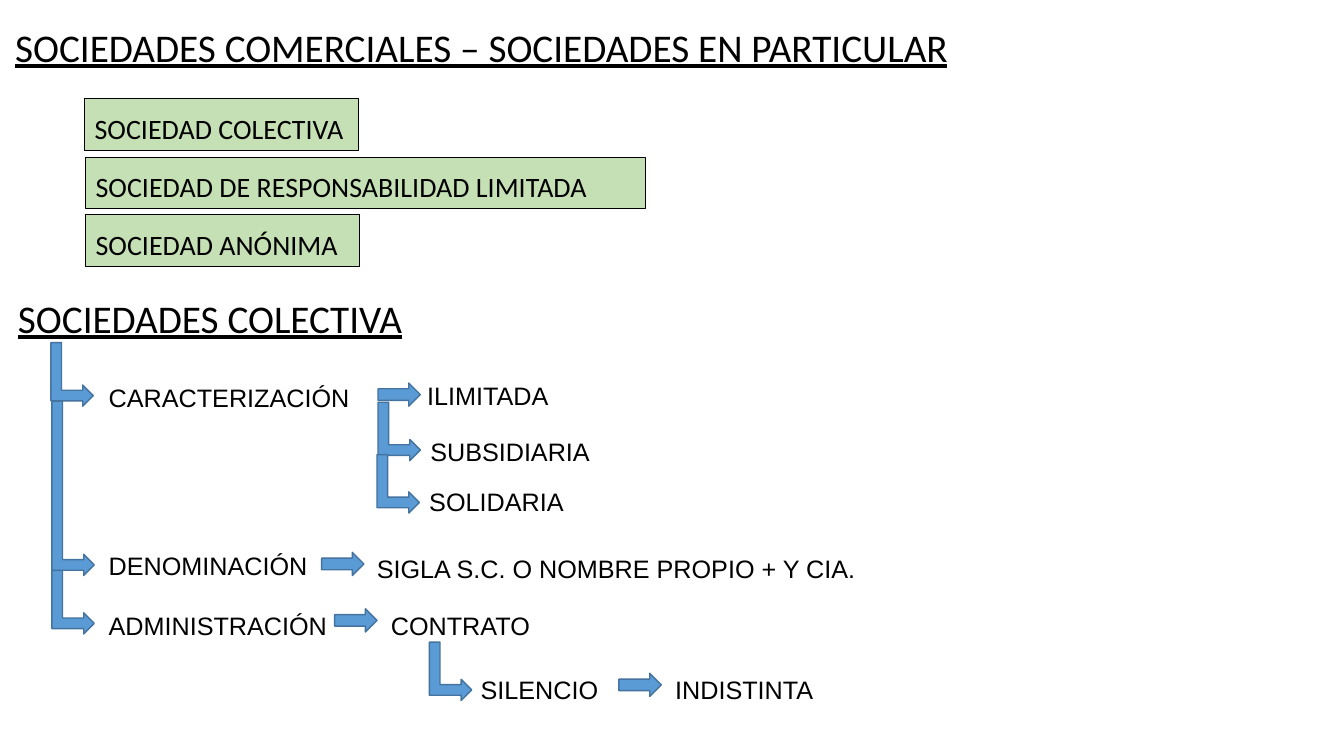
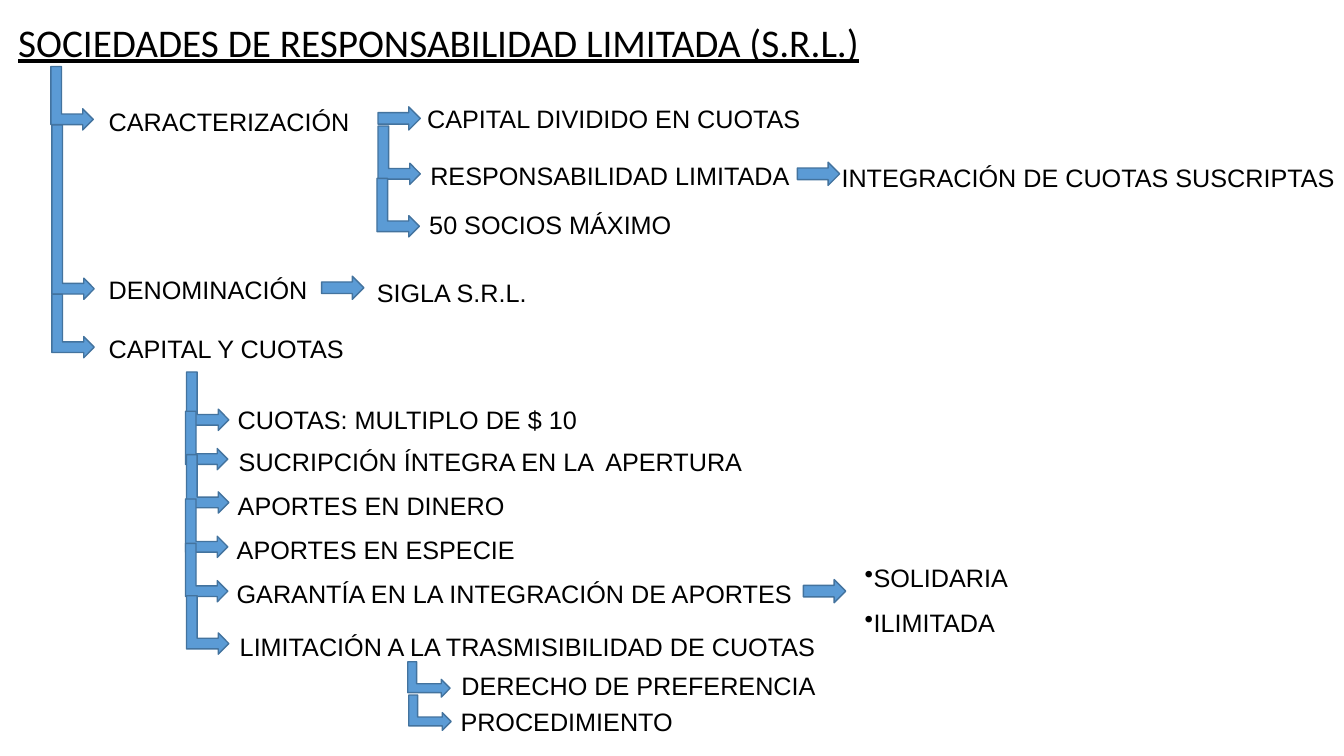
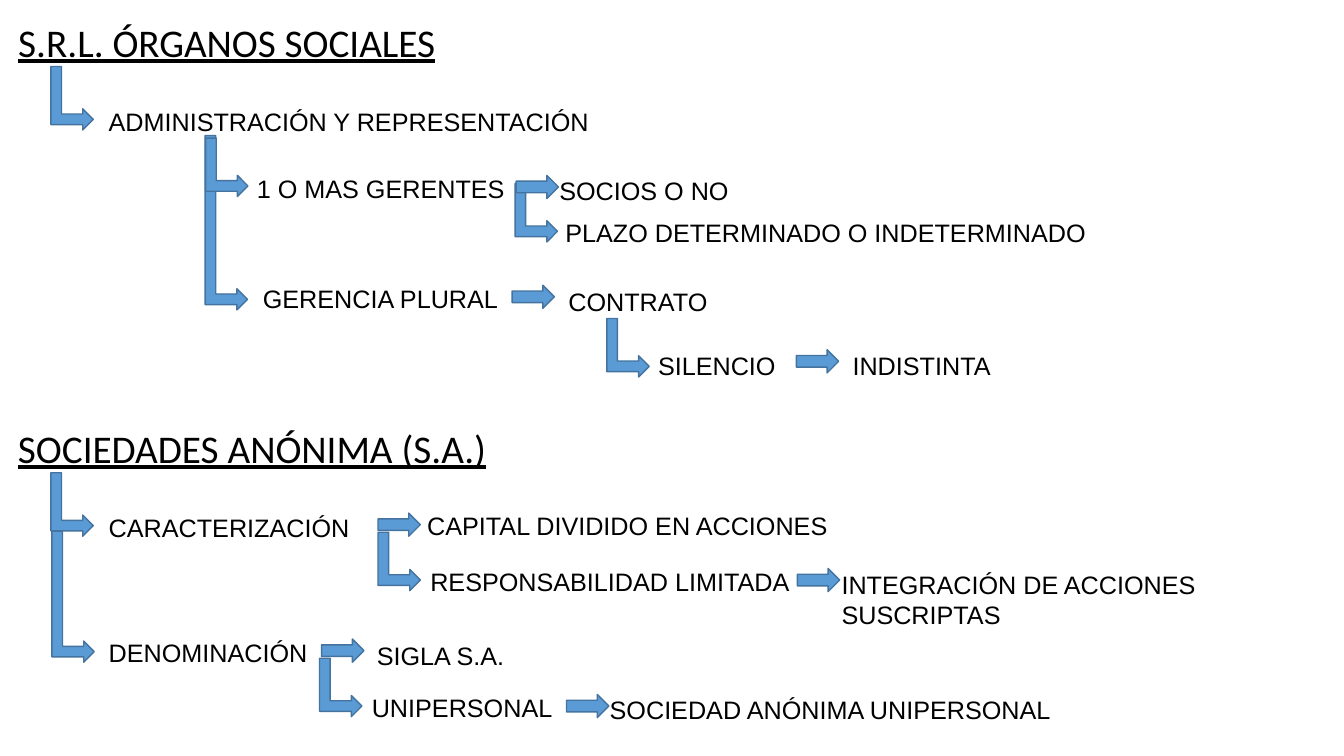
from dataclasses import dataclass
from typing import Union

import lxml.etree
import pptx
import pptx.dml.color
import pptx.enum.shapes
import pptx.enum.text
import pptx.oxml.ns
import pptx.util

# Grid: every column and row is a tenth of an inch
COLUMNS, ROWS = 133.33, 75
BLACK, GREEN, BLUE, BLUE_EDGE = "000000", "C5E0B4", "5B9BD5", "43739E"
ARROW_WIDTH, ARROW_HEIGHT = 4.2, 2.3
LINE_HEIGHT = 4

SHAPES = pptx.enum.shapes.MSO_SHAPE
ANCHORS = pptx.enum.text.MSO_ANCHOR
AUTO_SIZES = pptx.enum.text.MSO_AUTO_SIZE


@dataclass(frozen=True)
class Heading:
    column: float
    row: float
    width: float
    text: str
    height: float = 6


@dataclass(frozen=True)
class Label:
    column: float
    row: float
    width: float
    text: str
    height: float = LINE_HEIGHT
    bulleted: bool = False


@dataclass(frozen=True)
class Box:
    column: float
    row: float
    width: float
    text: str
    height: float = 5.1


@dataclass(frozen=True)
class Arrow:
    column: float
    row: float


@dataclass(frozen=True)
class Elbow:
    """Arrow that drops from its top left corner and turns right."""
    column: float
    row: float
    drop: float = 5.8


Part = Union[Heading, Label, Box, Arrow, Elbow]


def cells(count: float) -> int:
    return pptx.util.Inches(count / 10)


def color(value: str) -> pptx.dml.color.RGBColor:
    return pptx.dml.color.RGBColor.from_string(value)


def place(shape, column: float, row: float, width: float, height: float) -> None:
    shape.left, shape.top = cells(column), cells(row)
    shape.width, shape.height = cells(width), cells(height)


def write(shape, text: str, size: float, font: str, anchor, auto_size,
          spacing: float = 1.0, underline: bool = False, bulleted: bool = False) -> None:
    frame = shape.text_frame
    frame.text = text
    frame.word_wrap = True
    frame.auto_size = auto_size
    frame.vertical_anchor = anchor
    for paragraph in frame.paragraphs:
        if bulleted:
            properties = paragraph._p.get_or_add_pPr()
            bullet = lxml.etree.SubElement(properties, pptx.oxml.ns.qn("a:buChar"))
            bullet.set("char", "•")
        paragraph.alignment = pptx.enum.text.PP_ALIGN.LEFT
        paragraph.line_spacing = spacing
        paragraph.space_before = pptx.util.Pt(0)
        paragraph.font.name = font
        paragraph.font.size = pptx.util.Pt(size)
        paragraph.font.underline = underline
        paragraph.font.color.rgb = color(BLACK)


def add_preset(slide, preset, column: float, row: float, width: float, height: float,
               fill: str = BLUE, edge: str = BLUE_EDGE, weight: float = 1):
    shape = slide.shapes.add_shape(
        preset, cells(column), cells(row), cells(width), cells(height))
    shape.shadow.inherit = False
    shape.fill.solid()
    shape.fill.fore_color.rgb = color(fill)
    shape.line.color.rgb = color(edge)
    shape.line.width = pptx.util.Pt(weight)
    return shape


def write_heading(shape, heading: Heading) -> None:
    place(shape, heading.column, heading.row, heading.width, heading.height)
    write(shape, heading.text, 28, "Calibri", ANCHORS.TOP, AUTO_SIZES.NONE,
          spacing=0.9, underline=True)


def draw(slide, part: Part) -> None:
    if isinstance(part, Heading):
        write_heading(slide.shapes.add_textbox(0, 0, 0, 0), part)
    elif isinstance(part, Label):
        shape = slide.shapes.add_textbox(0, 0, 0, 0)
        place(shape, part.column, part.row, part.width, part.height)
        write(shape, part.text, 18, "Arial", ANCHORS.MIDDLE, AUTO_SIZES.SHAPE_TO_FIT_TEXT,
              spacing=1.5 if part.bulleted else 1.0, bulleted=part.bulleted)
    elif isinstance(part, Box):
        shape = add_preset(slide, SHAPES.RECTANGLE, part.column, part.row,
                           part.width, part.height, GREEN, BLACK, 0.75)
        write(shape, part.text, 20, "Calibri", ANCHORS.BOTTOM, AUTO_SIZES.NONE, spacing=0.9)
    elif isinstance(part, Arrow):
        add_preset(slide, SHAPES.RIGHT_ARROW, part.column, part.row,
                   ARROW_WIDTH, ARROW_HEIGHT)
    else:
        # The preset points up, so its box is turned about its centre
        shift = (part.drop - ARROW_WIDTH) / 2
        shape = add_preset(slide, SHAPES.BENT_UP_ARROW, part.column - shift,
                           part.row + shift, part.drop, ARROW_WIDTH)
        shape.rotation = 90


def characterization(top: float, features: list[str]) -> list[Part]:
    """First branch under a heading, with its features at the right."""
    steps = [(41.4, 8.0), (41.7, 13.6), (41.6, 18.5)]
    elbows = [Elbow(37.5, top + 10.7), Elbow(37.4, top + 15.9)]
    return [
        Elbow(5.05, top + 4.8, 6.3),
        Label(9.8, top + 8.2, 38.5, "CARACTERIZACIÓN"),
        *elbows[:len(features) - 1],
        Arrow(37.5, top + 8.8),
        *(Label(column, top + row, 44.3 if row == 8.0 else 38.5, text)
          for (column, row), text in zip(steps, features)),
    ]


def denomination(top: float, drop: float, acronym: str) -> list[Part]:
    row = top + 7.6 + drop
    return [
        Elbow(5.15, top + 10.6, drop),
        Label(9.8, row, 22.9, "DENOMINACIÓN"),
        Arrow(31.9, row + 0.7),
        Label(36.4, row + 0.3, 50.9, acronym),
    ]


def contract(column: float, row: float) -> list[Part]:
    """Contract, and what holds when it is silent."""
    return [
        Arrow(column - 4.6, row + 0.4),
        Label(column, row, 17.1, "CONTRATO"),
        Elbow(column + 4.8, row + 3.7),
        Label(column + 8.9, row + 6.4, 16, "SILENCIO"),
        Arrow(column + 23.6, row + 6.8),
        Label(column + 28.2, row + 6.4, 42.6, "INDISTINTA"),
    ]


def limited_liability(row: float, integration: str, height: float) -> list[Part]:
    return [Arrow(79.1, row + 0.5), Label(82.5, row, 53.1, integration, height)]


# Slide 1: kinds of company and the general partnership
PARTNERSHIP_TOP = 29.2
partnership = [
    Box(8.4, 9.8, 27.2, "SOCIEDAD COLECTIVA"),
    Box(8.5, 15.6, 55.5, "SOCIEDAD DE RESPONSABILIDAD LIMITADA"),
    Box(8.5, 21.3, 27.2, "SOCIEDAD ANÓNIMA"),
    Heading(0.8, PARTNERSHIP_TOP, 43, "SOCIEDADES COLECTIVA"),
    *characterization(PARTNERSHIP_TOP, ["ILIMITADA", "SUBSIDIARIA", "SOLIDARIA"]),
    *denomination(PARTNERSHIP_TOP, 17.3, "SIGLA S.C. O NOMBRE PROPIO + Y CIA."),
    Elbow(5.15, 56.6, 6.3),
    Label(9.8, 60, 30.4, "ADMINISTRACIÓN"),
    *contract(37.8, 60),
]

# Slide 2: limited company
LIMITED_TOP = 1.8
limited = [
    *characterization(LIMITED_TOP, [
        "CAPITAL DIVIDIDO EN CUOTAS", "RESPONSABILIDAD LIMITADA", "50 SOCIOS MÁXIMO"]),
    *limited_liability(15.6, "INTEGRACIÓN DE CUOTAS SUSCRIPTAS", LINE_HEIGHT),
    *denomination(LIMITED_TOP, 17.3, "SIGLA S.R.L."),
    Elbow(5.15, 29.2, 6.3),
    Label(9.8, 32.6, 30.4, "CAPITAL Y CUOTAS"),
    Elbow(18.5, 36.9),
    Label(22.6, 39.6, 52.5, "CUOTAS: MULTIPLO DE $ 10"),
    Elbow(18.4, 40.8),
    Label(22.7, 43.8, 52.5, "SUCRIPCIÓN ÍNTEGRA EN LA  APERTURA"),
    Elbow(18.5, 45.1),
    Label(22.6, 48.1, 52.5, "APORTES EN DINERO"),
    Elbow(18.4, 49.5),
    Label(22.5, 52.5, 52.5, "APORTES EN ESPECIE"),
    Elbow(18.4, 53.9),
    Label(22.5, 56.9, 65.7, "GARANTÍA EN LA INTEGRACIÓN DE APORTES"),
    Arrow(79.7, 57.5),
    Label(84.8, 54, 43.4, "SOLIDARIA\nILIMITADA", 9.5, bulleted=True),
    Elbow(18.5, 59.1),
    Label(22.8, 62.1, 61.8, "LIMITACIÓN A LA TRASMISIBILIDAD DE CUOTAS"),
    Elbow(40.45, 65.65, 3.5),
    Label(44.8, 66, 48.6, "DERECHO DE PREFERENCIA"),
    Elbow(40.55, 68.95, 3.5),
    Label(44.7, 69.6, 25.2, "PROCEDIMIENTO"),
]

# Slide 3: bodies of the limited company, and the corporation
CORPORATION_TOP = 42.1
corporation = [
    Elbow(5.05, 6.6, 6.3),
    Label(9.8, 10, 52.9, "ADMINISTRACIÓN Y REPRESENTACIÓN"),
    Elbow(20.35, 13.45, 17.3),
    Elbow(20.4, 13.7),
    Label(24.5, 16.7, 27.7, "1 O MAS GERENTES"),
    Elbow(51.1, 18.2),
    Arrow(51.2, 17.4),
    Label(54.5, 16.9, 53.1, "SOCIOS O NO"),
    Label(55.1, 21.1, 65.7, "PLAZO DETERMINADO O INDETERMINADO"),
    Label(25.1, 27.6, 27.3, "GERENCIA PLURAL"),
    *contract(55.4, 27.9),
    Heading(0.8, CORPORATION_TOP, 109.7, "SOCIEDADES ANÓNIMA (S.A.)"),
    *characterization(CORPORATION_TOP, [
        "CAPITAL DIVIDIDO EN ACCIONES", "RESPONSABILIDAD LIMITADA"]),
    *limited_liability(55.9, "INTEGRACIÓN DE ACCIONES SUSCRIPTAS", 7.1),
    *denomination(CORPORATION_TOP, 13, "SIGLA S.A."),
    Elbow(31.7, 65.3),
    Label(35.9, 68.2, 38.5, "UNIPERSONAL"),
    Arrow(56.2, 68.9),
    Label(59.5, 68.4, 53.1, "SOCIEDAD ANÓNIMA UNIPERSONAL"),
]

SLIDES = [
    (Heading(0.5, 2.3, 121.5, "SOCIEDADES COMERCIALES – SOCIEDADES EN PARTICULAR", 8),
     partnership),
    (Heading(0.8, LIMITED_TOP, 109.7, "SOCIEDADES DE RESPONSABILIDAD LIMITADA (S.R.L.)"),
     limited),
    (Heading(0.8, LIMITED_TOP, 45.7, "S.R.L. ÓRGANOS SOCIALES"), corporation),
]


def main() -> None:
    presentation = pptx.Presentation()
    presentation.slide_width, presentation.slide_height = cells(COLUMNS), cells(ROWS)
    title_only = presentation.slide_layouts[5]
    for title, parts in SLIDES:
        slide = presentation.slides.add_slide(title_only)
        write_heading(slide.shapes.title, title)
        for part in parts:
            draw(slide, part)
    presentation.save("out.pptx")


if __name__ == "__main__":
    main()
